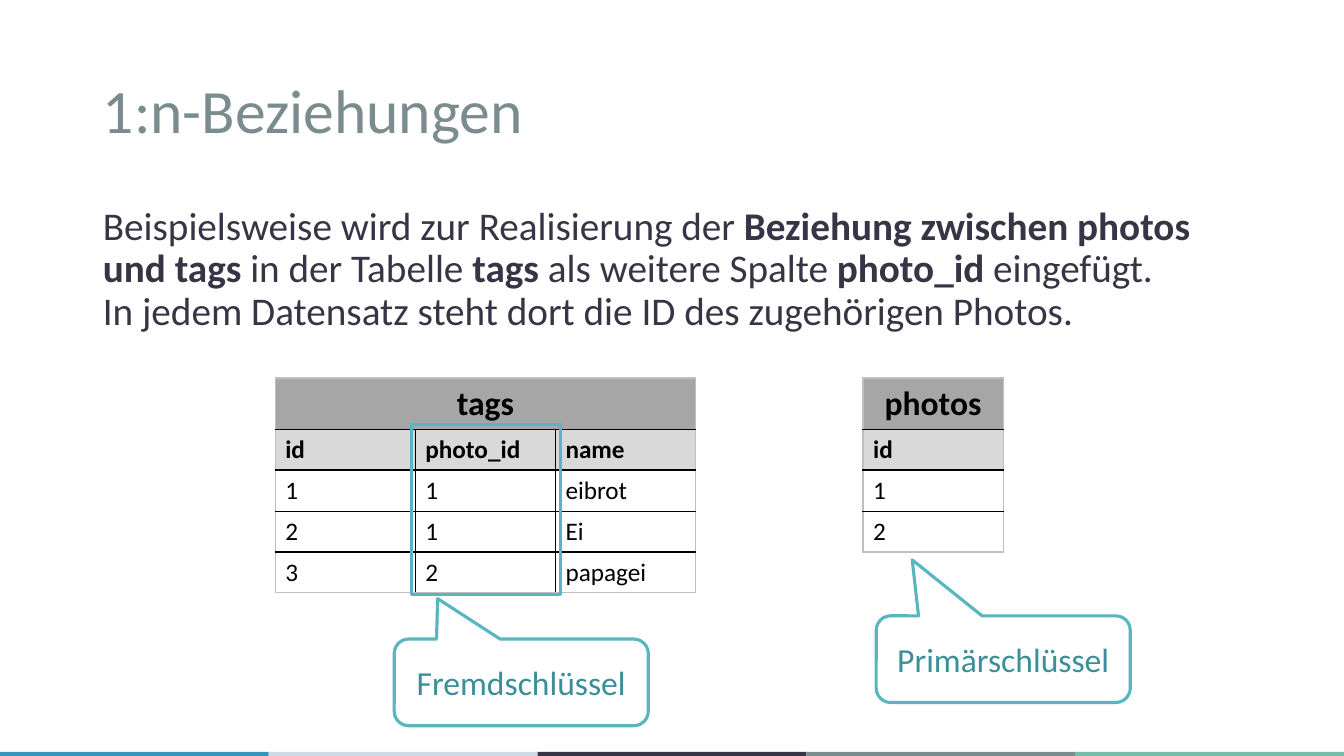
from lxml import etree
from pptx import Presentation
from pptx.dml.color import RGBColor
from pptx.enum.shapes import MSO_SHAPE
from pptx.enum.text import MSO_ANCHOR, MSO_AUTO_SIZE, PP_ALIGN
from pptx.oxml.ns import qn
from pptx.util import Inches, Pt

RECTANGLE = MSO_SHAPE.RECTANGLE
CALLOUT = MSO_SHAPE.ROUNDED_RECTANGULAR_CALLOUT
MIDDLE, TOP = MSO_ANCHOR.MIDDLE, MSO_ANCHOR.TOP
LEFT, CENTER = PP_ALIGN.LEFT, PP_ALIGN.CENTER
NO_AUTOFIT = MSO_AUTO_SIZE.NONE

FONT = "Calibri"
COLORS = {
    "title": "7A8C8E", "body": "373545", "black": "000000", "white": "FFFFFF",
    "table_head": "A6A6A6", "column_head": "D9D9D9", "table_edge": "BFBFBF",
    "accent": "58B6C0", "accent_text": "3A8F98",
}
BAR_COLORS = ["3494BA", "CEDBE6", "373545", "7A8C8E", "75BDA7"]

TITLE = "1:n-Beziehungen"
BODY_LINES = [
    [
        ("Beispielsweise wird zur Realisierung der ", False),
        ("Beziehung zwischen photos und tags", True),
        (" in der Tabelle ", False),
        ("tags", True),
        (" als weitere Spalte ", False),
        ("photo_id", True),
        (" eingefügt. ", False),
    ],
    [("In jedem Datensatz steht dort die ID des zugehörigen Photos.", False)],
]
TABLES = [
    {"name": "tags", "left": 2.73, "rows": [
        ["id", "photo_id", "name"],
        ["1", "1", "eibrot"],
        ["2", "1", "Ei"],
        ["3", "2", "papagei"],
    ]},
    {"name": "photos", "left": 8.56, "rows": [["id"], ["1"], ["2"]]},
]
CALLOUTS = [
    ("Fremdschlüssel", 3.91, 6.34, (-0.329, -0.967, 0.167)),
    ("Primärschlüssel", 8.69, 6.11, (-0.358, -1.146, 0.167)),
]
FOREIGN_KEY_FRAME = (4.08, 4.21, 1.48, 1.69)

SLIDE_WIDTH, SLIDE_HEIGHT = 13.33, 7.5
BAR_HEIGHT = 0.04
TABLE_TOP, COLUMN_WIDTH = 3.75, 1.39
HEAD_HEIGHT, ROW_HEIGHT = 0.51, 0.4
CALLOUT_SIZE = (2.52, 0.86)


def rgb(name):
    return RGBColor.from_string(COLORS.get(name, name))


def style(paragraph, size, color, bold=False, align=LEFT):
    paragraph.alignment = align
    font = paragraph.font
    font.name, font.size, font.bold = FONT, Pt(size), bold
    font.color.rgb = rgb(color)


def place(shape, left, top, width, height):
    shape.left, shape.top = Inches(left), Inches(top)
    shape.width, shape.height = Inches(width), Inches(height)


def add_box(slide, kind, box, fill=None, line=None):
    shape = slide.shapes.add_shape(kind, *map(Inches, box))
    shape.shadow.inherit = False
    if fill:
        shape.fill.solid()
        shape.fill.fore_color.rgb = rgb(fill)
    else:
        shape.fill.background()
    if line:
        shape.line.color.rgb = rgb(line)
        shape.line.width = Pt(2.25)
    else:
        shape.line.fill.background()
    return shape


def add_border(cell, side, color, width):
    line = etree.SubElement(cell._tc.get_or_add_tcPr(), qn(f"a:ln{side}"), w=str(Pt(width)))
    fill = etree.SubElement(line, qn("a:solidFill"))
    etree.SubElement(fill, qn("a:srgbClr"), val=COLORS[color])


def add_borders(cell, row, column, last_row, last_column):
    edges = {
        "L": row == 0 or column == 0,
        "R": row == 0 or column == last_column,
        "T": row == 0,
        "B": row == last_row,
    }
    for side, is_edge in edges.items():
        under_head = (row, side) in ((1, "B"), (2, "T"))
        add_border(cell, side, "table_edge" if is_edge else "black", 1.5 if under_head else 1)


def add_data_table(slide, name, left, rows):
    columns = len(rows[0])
    grid = [[name] + [""] * (columns - 1)] + rows
    height = HEAD_HEIGHT + ROW_HEIGHT * len(rows)
    table = slide.shapes.add_table(
        len(grid), columns, Inches(left), Inches(TABLE_TOP),
        Inches(COLUMN_WIDTH * columns), Inches(height),
    ).table
    table.first_row = table.horz_banding = False
    for column in table.columns:
        column.width = Inches(COLUMN_WIDTH)
    for row, texts in enumerate(grid):
        table.rows[row].height = Inches(ROW_HEIGHT if row else HEAD_HEIGHT)
        for column, text in enumerate(texts):
            cell = table.cell(row, column)
            add_borders(cell, row, column, len(grid) - 1, columns - 1)
            if row < 2:
                cell.fill.solid()
                cell.fill.fore_color.rgb = rgb("column_head" if row else "table_head")
            else:
                cell.fill.background()
            cell.vertical_anchor = TOP if row else MIDDLE
            cell.text = text
            style(cell.text_frame.paragraphs[0], 18 if row else 24, "black",
                  row < 2, LEFT if row else CENTER)
    if columns > 1:
        table.cell(0, 0).merge(table.cell(0, columns - 1))


def add_callout(slide, text, left, top, adjustments):
    callout = add_box(slide, CALLOUT, (left, top, *CALLOUT_SIZE), "white", "accent")
    for index, value in enumerate(adjustments):
        callout.adjustments[index] = value
    callout.text_frame.text = text
    callout.text_frame.vertical_anchor = MIDDLE
    style(callout.text_frame.paragraphs[0], 24, "accent_text", align=CENTER)


def fill_title(title):
    place(title, 0.92, 0.4, 11.5, 1.45)
    frame = title.text_frame
    frame.text = TITLE
    frame.auto_size, frame.vertical_anchor = NO_AUTOFIT, MIDDLE
    frame.paragraphs[0].line_spacing = 0.9
    style(frame.paragraphs[0], 44, "title")


def fill_body(body):
    place(body, 0.92, 2, 11.5, 4.76)
    frame = body.text_frame
    frame.auto_size, frame.vertical_anchor = NO_AUTOFIT, TOP
    paragraph = frame.paragraphs[0]
    properties = paragraph._p.get_or_add_pPr()
    properties.set("marL", "0")
    properties.set("indent", "0")
    etree.SubElement(properties, qn("a:buNone"))
    paragraph.line_spacing, paragraph.space_before = 0.9, Pt(0)
    style(paragraph, 28, "body")
    for index, line in enumerate(BODY_LINES):
        if index:
            paragraph.add_line_break()
        for text, bold in line:
            run = paragraph.add_run()
            run.text, run.font.bold = text, bold


def main():
    presentation = Presentation()
    presentation.slide_width = Inches(SLIDE_WIDTH)
    presentation.slide_height = Inches(SLIDE_HEIGHT)
    slide = presentation.slides.add_slide(presentation.slide_layouts[1])
    bar_width = SLIDE_WIDTH / len(BAR_COLORS)
    for index, color in enumerate(BAR_COLORS):
        bar = (index * bar_width, SLIDE_HEIGHT - BAR_HEIGHT, bar_width, BAR_HEIGHT)
        add_box(slide, RECTANGLE, bar, color)
    fill_title(slide.shapes.title)
    fill_body(slide.placeholders[1])
    for table in TABLES:
        add_data_table(slide, **table)
    for callout in CALLOUTS:
        add_callout(slide, *callout)
    add_box(slide, RECTANGLE, FOREIGN_KEY_FRAME, line="accent")
    presentation.save("out.pptx")


if __name__ == "__main__":
    main()
